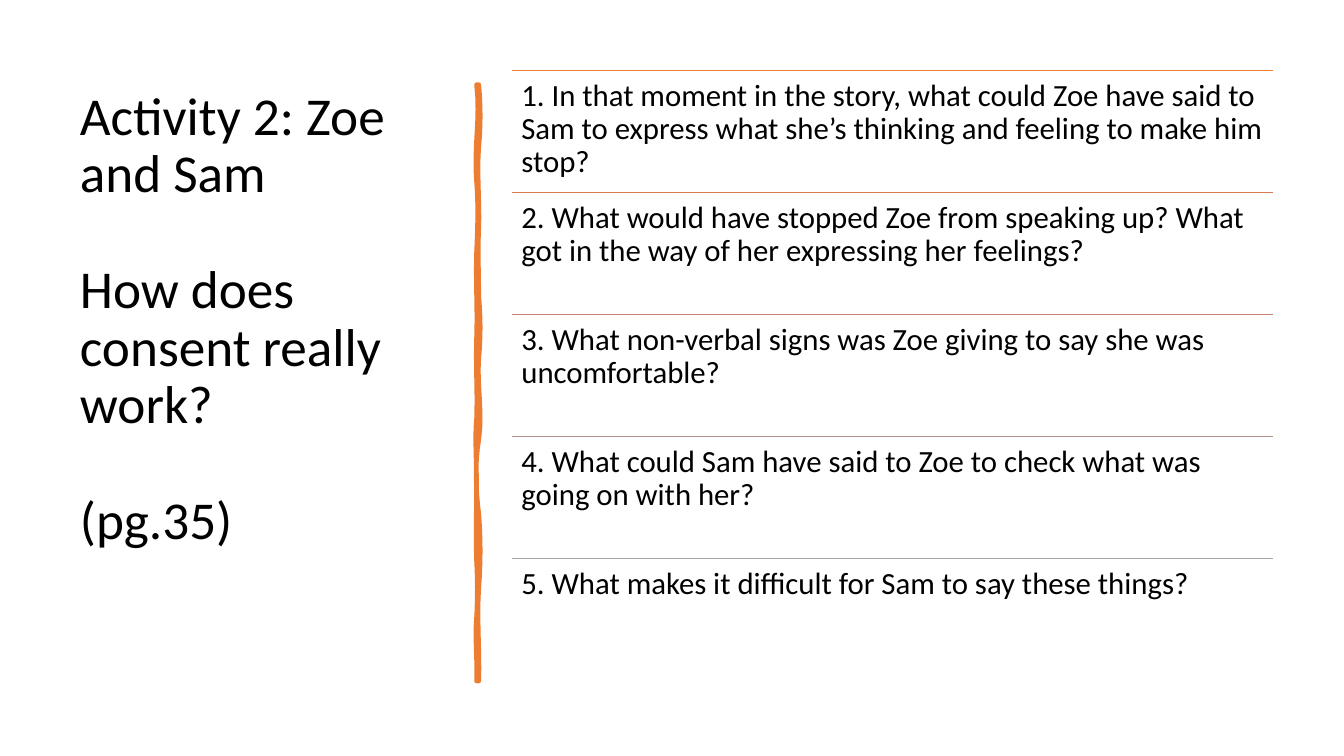
from dataclasses import dataclass

from lxml import etree
from pptx import Presentation
from pptx.dml.color import RGBColor
from pptx.enum.shapes import MSO_CONNECTOR
from pptx.enum.text import MSO_ANCHOR
from pptx.oxml.ns import qn
from pptx.util import Pt

STRAIGHT = MSO_CONNECTOR.STRAIGHT
TOP, MIDDLE = MSO_ANCHOR.TOP, MSO_ANCHOR.MIDDLE


@dataclass(frozen=True)
class Theme:
    font: str = "Calibri"
    title_size: float = 38
    body_size: float = 22
    line_spacing: float = 0.9
    text: str = "000000"
    accent: str = "ED7D31"
    rules: tuple = ("ED7D31", "D87A51", "C48170", "B4908B", "A5A5A5")


class SlideBuilder:
    def __init__(self, page, theme):
        self.page = page
        self.theme = theme

    def text(self, left, top, width, height, lines, size, insets, anchor=TOP, gap=0):
        """Add one paragraph per line; insets are left, top, right, bottom."""
        box = self.page.shapes.add_textbox(Pt(left), Pt(top), Pt(width), Pt(height))
        frame = box.text_frame
        frame.word_wrap = True
        frame.vertical_anchor = anchor
        (frame.margin_left, frame.margin_top,
         frame.margin_right, frame.margin_bottom) = map(Pt, insets)
        frame.text = "\n".join(lines)
        for index, para in enumerate(frame.paragraphs):
            para.line_spacing = self.theme.line_spacing
            para.space_before = Pt(gap if index else 0)
            for span in para.runs:
                span.font.name = self.theme.font
                span.font.size = Pt(size)
                span.font.color.rgb = RGBColor.from_string(self.theme.text)

    def rule(self, left, top, width, color):
        line = self.page.shapes.add_connector(
            STRAIGHT, Pt(left), Pt(top), Pt(left + width), Pt(top))
        line.line.color.rgb = RGBColor.from_string(color)
        line.line.width = Pt(1)
        etree.SubElement(line._element.spPr, qn("a:effectLst"))

    def outline(self, points, color, weight):
        corners = [(Pt(x), Pt(y)) for x, y in points]
        builder = self.page.shapes.build_freeform(*corners[0], scale=1.0)
        builder.add_line_segments(corners[1:], close=True)
        shape = builder.convert_to_shape()
        shape.shadow.inherit = False
        shape.fill.solid()
        shape.fill.fore_color.rgb = RGBColor.from_string(color)
        shape.line.color.rgb = RGBColor.from_string(color)
        shape.line.width = Pt(weight)


def wavy_edge(x, heights, leans, steps=8):
    """Sample a vertical edge; each lean pair bends one cubic span sideways."""
    points = [(x, heights[0])]
    for start, end, (first, second) in zip(heights, heights[1:], leans):
        for step in range(1, steps + 1):
            t = step / steps
            bend = 3 * t * (1 - t) * ((1 - t) * first + t * second)
            points.append((x + bend, start + t * (end - start)))
    return points


TITLE = ("Activity 2: Zoe and Sam", "How does consent really work?", "(pg.35)")
QUESTIONS = (
    "1. In that moment in the story, what could Zoe have said to Sam to express "
    "what she’s thinking and feeling to make him stop?",
    "2. What would have stopped Zoe from speaking up? What got in the way of her "
    "expressing her feelings?",
    "3. What non-verbal signs was Zoe giving to say she was uncomfortable?",
    "4. What could Sam have said to Zoe to check what was going on with her?",
    "5. What makes it difficult for Sam to say these things?",
)
RIGHT_HEIGHTS = (60.5, 105, 163, 212, 256, 314, 367, 420, 486.5)
RIGHT_LEANS = ((1.4, 1.4), (-1.4, 0.7), (-0.7, 0), (1.4, 1.4),
               (-1.4, 2.9), (-2.9, -2.2), (1.4, 1.4), (-1.4, 0.7))
LEFT_HEIGHTS = (486.5, 441, 401, 343, 299, 241, 180, 130, 60.5)
LEFT_LEANS = ((0.7, -1.4), (0.7, 0.7), (-0.7, 0), (0, -1.4),
              (0.7, -0.7), (0.7, -0.7), (0.7, 1.4), (-2.2, 2.9))
LIST_LEFT, LIST_TOP, LIST_WIDTH, ROW_HEIGHT = 365.8, 50.4, 543.6, 87.1


def main():
    theme = Theme()
    deck = Presentation()
    deck.slide_width, deck.slide_height = Pt(960), Pt(540)
    builder = SlideBuilder(deck.slides.add_slide(deck.slide_layouts[6]), theme)

    builder.text(50, 50.4, 269, 440, TITLE, theme.title_size,
                 (7.2, 3.6, 7.2, 87), MIDDLE, gap=41.7)
    divider = (wavy_edge(342, RIGHT_HEIGHTS, RIGHT_LEANS)
               + wavy_edge(340.4, LEFT_HEIGHTS, LEFT_LEANS))
    builder.outline(divider, theme.accent, 3.25)

    for row, (question, color) in enumerate(zip(QUESTIONS, theme.rules)):
        top = LIST_TOP + row * ROW_HEIGHT
        builder.rule(LIST_LEFT, top, LIST_WIDTH, color)
        builder.text(LIST_LEFT, top, LIST_WIDTH, ROW_HEIGHT, (question,),
                     theme.body_size, (6.6,) * 4)

    deck.save("out.pptx")


if __name__ == "__main__":
    main()
